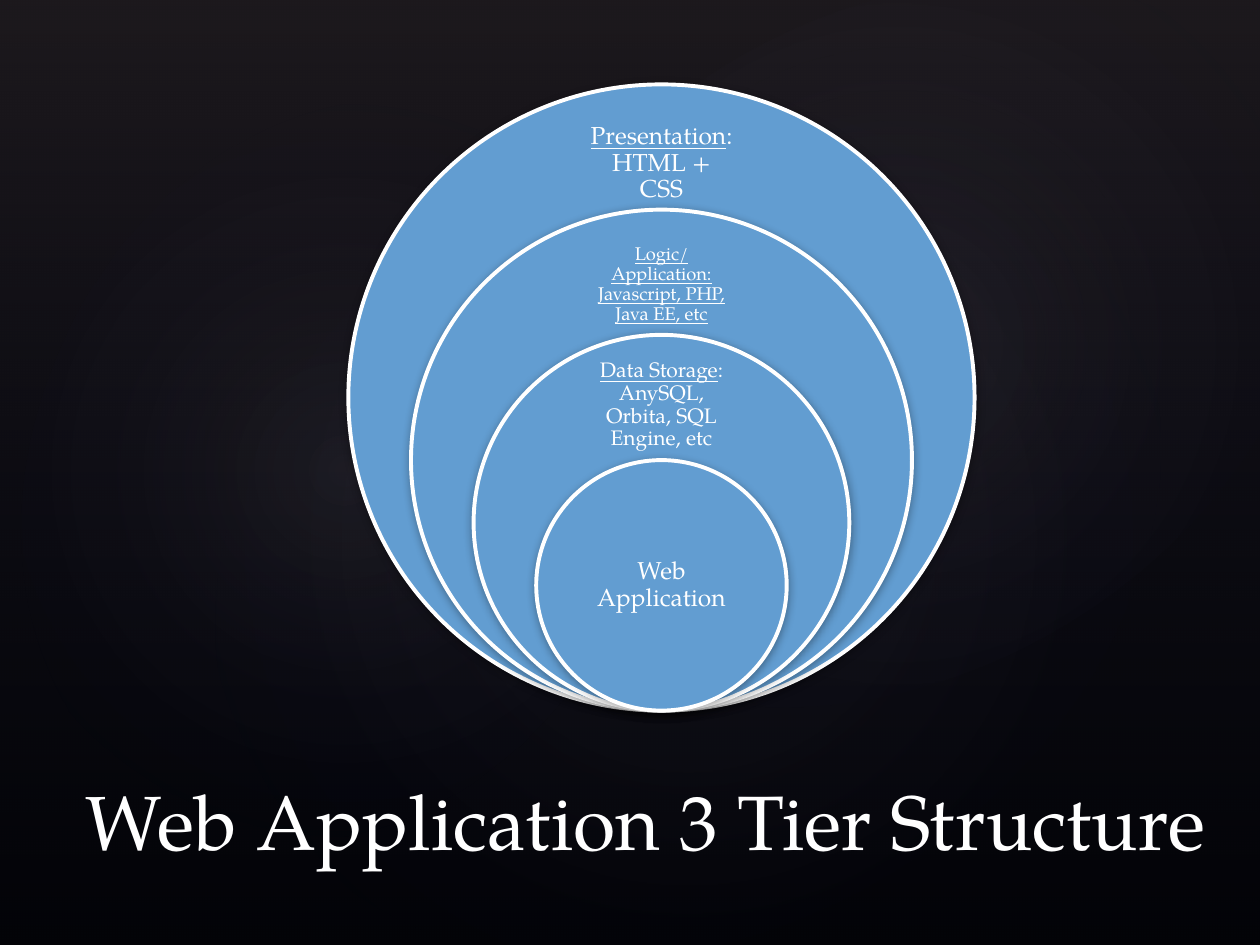
from pptx import Presentation
from pptx.dml.color import RGBColor
from pptx.enum.shapes import MSO_SHAPE
from pptx.enum.text import MSO_ANCHOR, MSO_AUTO_SIZE, PP_ALIGN
from pptx.oxml import parse_xml
from pptx.oxml.ns import nsdecls, qn
from pptx.util import Inches, Pt

RECTANGLE, OVAL = MSO_SHAPE.RECTANGLE, MSO_SHAPE.OVAL
MIDDLE, BOTTOM = MSO_ANCHOR.MIDDLE, MSO_ANCHOR.BOTTOM
LEFT, CENTER = PP_ALIGN.LEFT, PP_ALIGN.CENTER
NO_AUTOFIT = MSO_AUTO_SIZE.NONE

BLACK = RGBColor(0x00, 0x00, 0x00)
WHITE = RGBColor(0xFF, 0xFF, 0xFF)
BLUE = RGBColor(0x62, 0x9D, 0xD1)
PLUM = RGBColor(0x50, 0x46, 0x52)
MIST = RGBColor(0xC4, 0xBC, 0xC6)
NAVY = RGBColor(0x24, 0x28, 0x52)
FONT = "TeX Gyre Pagella"

LINEAR = '<a:lin ang="5400000" scaled="0"/>'
RADIAL = ('<a:path path="circle">'
          '<a:fillToRect l="50000" t="50000" r="50000" b="50000"/></a:path>')

# left, top, width, height, rotation, opacity at the centre
GLOWS = [
    (1.5, 1.14, 7.92, 6.24, 328.7, 7),
    (-0.3, 1.28, 6.06, 4.9, 294.3, 8),
    (3.58, 0.13, 7.09, 5.2, 328.7, 8),
]

CENTER_X, CIRCLES_BOTTOM, LARGEST_DIAMETER = 5.25, 5.64, 4.97
# label top, width, height, inset, font size, underlined text, plain lines
TIERS = [
    (0.92, 1.39, 0.75, 0.11, 14, "Presentation", [": HTML + CSS"]),
    (1.9, 1.39, 0.72, 0.09, 10.5,
     "Logic/Application: Javascript, PHP, Java EE, etc", []),
    (2.88, 1.39, 0.67, 0.09, 12, "Data Storage",
     [":", "AnySQL, Orbita, SQL Engine, etc"]),
    (4.15, 1.41, 0.99, 0.11, 14, "", ["Web Application"]),
]


def add_gradient_shape(slide, kind, box, stops, direction, rotation=0):
    """Add a translucent shape; stops are (position %, colour, opacity %)."""
    shape = slide.shapes.add_shape(kind, *map(Inches, box))
    shape.rotation = rotation
    shape.shadow.inherit = False
    shape.line.fill.background()
    shape.fill.background()
    stop_xml = "".join(
        f'<a:gs pos="{position * 1000}"><a:srgbClr val="{color}">'
        f'<a:alpha val="{opacity * 1000}"/></a:srgbClr></a:gs>'
        for position, color, opacity in stops)
    gradient = parse_xml(
        f'<a:gradFill {nsdecls("a")} rotWithShape="1">'
        f'<a:gsLst>{stop_xml}</a:gsLst>{direction}</a:gradFill>')
    properties = shape.element.spPr
    properties.replace(properties.find(qn("a:noFill")), gradient)


def add_background(slide):
    slide.background.fill.solid()
    slide.background.fill.fore_color.rgb = BLACK
    add_gradient_shape(slide, RECTANGLE, (0, 0, 10, 7.5),
                       [(0, PLUM, 36), (100, NAVY, 10)], LINEAR)
    for *box, rotation, opacity in GLOWS:
        add_gradient_shape(slide, OVAL, box,
                           [(0, MIST, opacity), (58, NAVY, 0)], RADIAL, rotation)


def format_paragraph(paragraph, size, alignment):
    paragraph.alignment = alignment
    paragraph.font.name = FONT
    paragraph.font.size = Pt(size)
    paragraph.font.color.rgb = WHITE


def place_title(slide, text):
    title = slide.shapes.title
    title.left, title.top = Inches(0.58), Inches(5.92)
    title.width, title.height = Inches(9.17), Inches(1)
    # Bring the title in front of the background shapes.
    title.element.getparent().append(title.element)
    frame = title.text_frame
    frame.text = text
    frame.auto_size = NO_AUTOFIT
    frame.vertical_anchor = BOTTOM
    format_paragraph(frame.paragraphs[0], 44, LEFT)


def add_circle(slide, diameter):
    circle = slide.shapes.add_shape(
        OVAL, Inches(CENTER_X - diameter / 2), Inches(CIRCLES_BOTTOM - diameter),
        Inches(diameter), Inches(diameter))
    circle.fill.solid()
    circle.fill.fore_color.rgb = BLUE
    circle.line.color.rgb = WHITE
    circle.line.width = Pt(2.25)
    circle.element.spPr.append(parse_xml(
        f'<a:effectLst {nsdecls("a")}>'
        f'<a:outerShdw blurRad="{Pt(5)}" dist="{Pt(1)}" dir="5400000" rotWithShape="0">'
        f'<a:srgbClr val="{BLACK}"><a:alpha val="32000"/></a:srgbClr>'
        '</a:outerShdw></a:effectLst>'))


def add_label(slide, top, width, height, inset, size, underlined, plain_lines):
    label = slide.shapes.add_textbox(
        Inches(CENTER_X - width / 2), Inches(top), Inches(width), Inches(height))
    frame = label.text_frame
    frame.word_wrap = True
    frame.vertical_anchor = MIDDLE
    frame.margin_left = frame.margin_right = Inches(inset)
    frame.margin_top = frame.margin_bottom = Inches(inset)
    paragraph = frame.paragraphs[0]
    format_paragraph(paragraph, size, CENTER)
    paragraph.line_spacing = 0.9
    if underlined:
        run = paragraph.add_run()
        run.text = underlined
        run.font.underline = True
    for index, line in enumerate(plain_lines):
        if index:
            paragraph.add_line_break()
        paragraph.add_run().text = line


def main():
    presentation = Presentation()
    presentation.slide_width = Inches(10)
    presentation.slide_height = Inches(7.5)
    slide = presentation.slides.add_slide(presentation.slide_layouts[5])
    add_background(slide)
    place_title(slide, "Web Application 3 Tier Structure")
    for index, tier in enumerate(TIERS):
        add_circle(slide, LARGEST_DIAMETER * (1 - 0.2 * index))
        add_label(slide, *tier)
    presentation.save("out.pptx")


if __name__ == "__main__":
    main()
